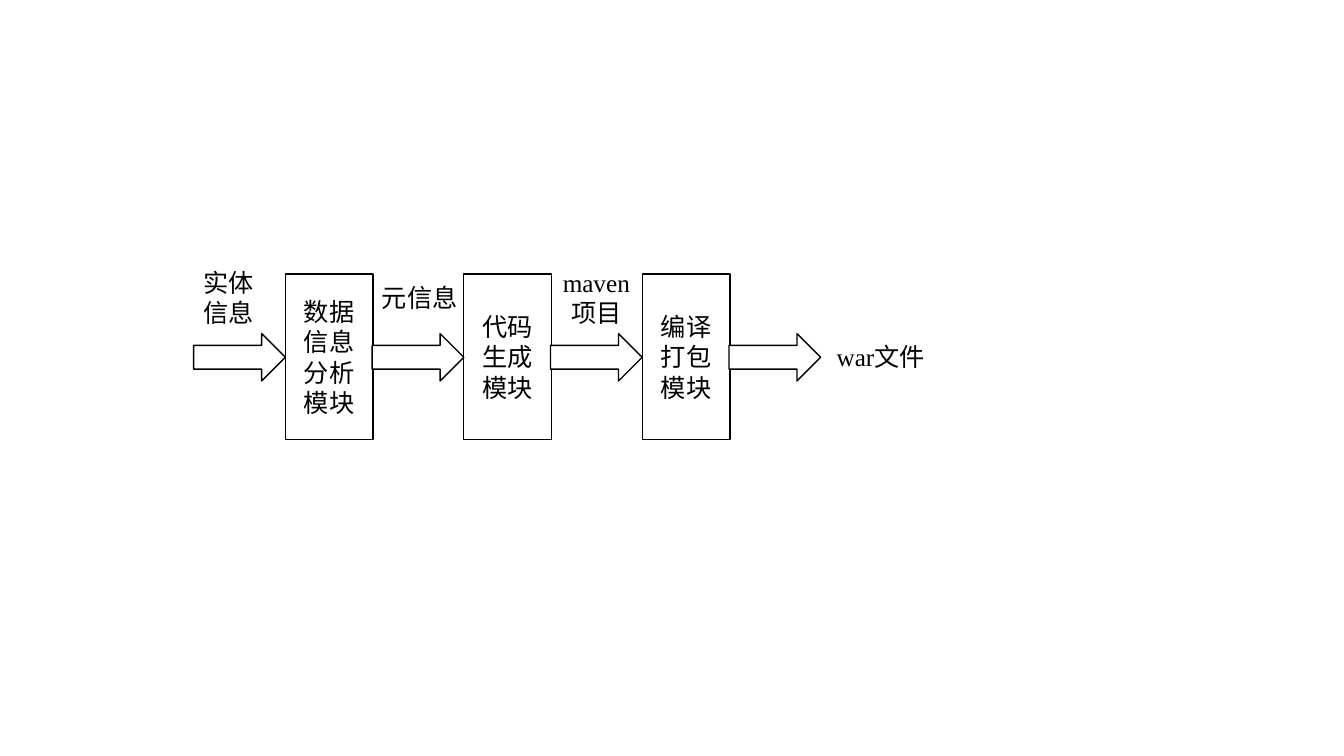
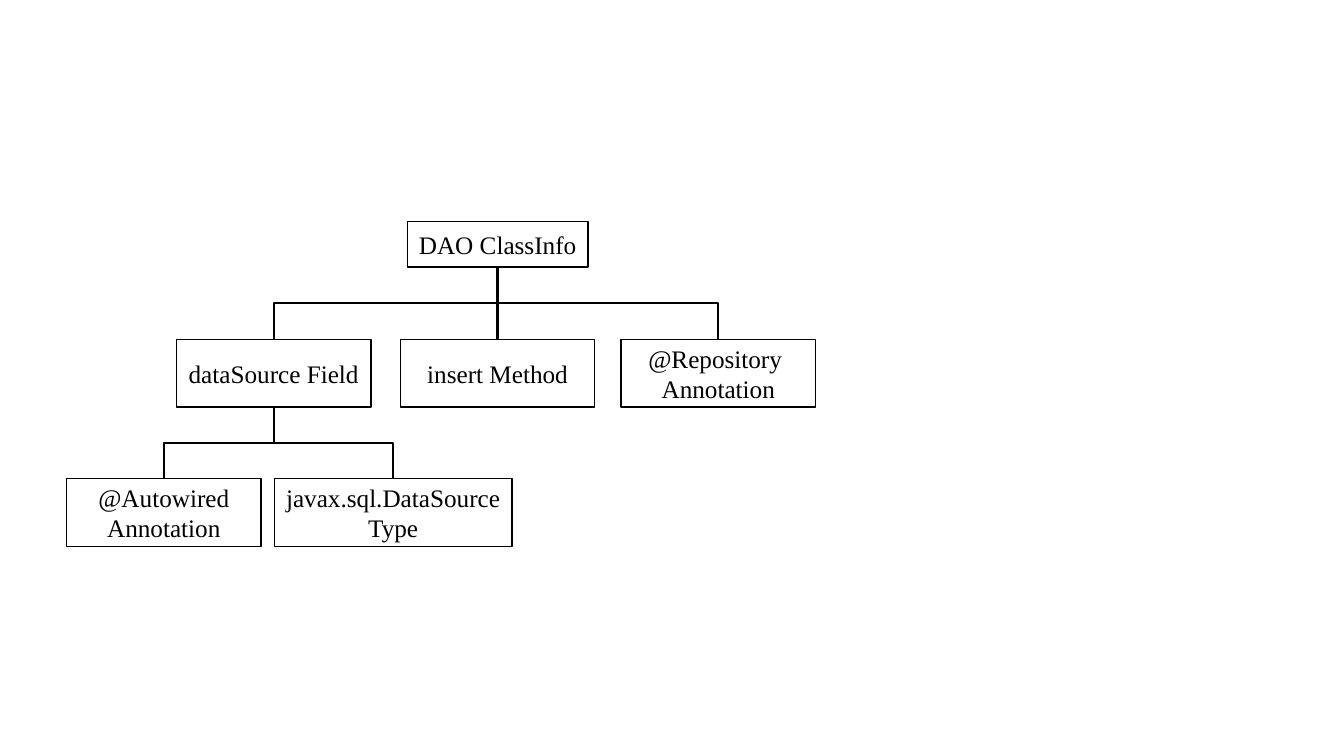
from lxml import etree
from pptx import Presentation
from pptx.dml.color import RGBColor
from pptx.enum.shapes import MSO_CONNECTOR, MSO_SHAPE
from pptx.enum.text import MSO_ANCHOR, MSO_AUTO_SIZE, PP_ALIGN
from pptx.oxml.ns import qn
from pptx.util import Emu, Pt

RECTANGLE, RIGHT_ARROW = MSO_SHAPE.RECTANGLE, MSO_SHAPE.RIGHT_ARROW
ELBOW, STRAIGHT = MSO_CONNECTOR.ELBOW, MSO_CONNECTOR.STRAIGHT
LEFT, CENTER = PP_ALIGN.LEFT, PP_ALIGN.CENTER
TOP, MIDDLE = MSO_ANCHOR.TOP, MSO_ANCHOR.MIDDLE
GROW = MSO_AUTO_SIZE.SHAPE_TO_FIT_TEXT

EMU_PER_PX = 9144
COLORS = {"paper": "FFFFFF", "ink": "000000"}
SANS, SERIF = "Calibri", "Times New Roman"
TOP_SITE, BOTTOM_SITE = 0, 2


def px(length):
    return Emu(length * EMU_PER_PX)


def color(name):
    return RGBColor.from_string(COLORS[name])


class Diagram:
    text_size = Pt(18)
    outline = Pt(1)
    branch_line = Pt(1.5)

    def __init__(self, width, height):
        self.deck = Presentation()
        self.deck.slide_width, self.deck.slide_height = px(width), px(height)
        self.slide = None

    def new_slide(self):
        self.slide = self.deck.slides.add_slide(self.deck.slide_layouts[6])

    def set_text(self, frame, text, font, align, anchor):
        frame.text = text
        frame.word_wrap = True
        frame.vertical_anchor = anchor
        for paragraph in frame.paragraphs:
            paragraph.alignment = align
            for run in paragraph.runs:
                run.font.name = font
                run.font.size = self.text_size
                run.font.color.rgb = color("ink")

    def outlined(self, preset, left, top, width, height):
        shape = self.slide.shapes.add_shape(
            preset, px(left), px(top), px(width), px(height))
        shape.shadow.inherit = False
        shape.fill.solid()
        shape.fill.fore_color.rgb = color("paper")
        shape.line.color.rgb = color("ink")
        shape.line.width = self.outline
        return shape

    def box(self, left, top, width, height, text, font):
        shape = self.outlined(RECTANGLE, left, top, width, height)
        self.set_text(shape.text_frame, text, font, CENTER, MIDDLE)
        return shape

    def arrow(self, left, top, width, height):
        self.outlined(RIGHT_ARROW, left, top, width, height)

    def label(self, left, top, width, height, text, font, align):
        caption = self.slide.shapes.add_textbox(
            px(left), px(top), px(width), px(height))
        self.set_text(caption.text_frame, text, font, align, TOP)
        caption.text_frame.auto_size = GROW

    def branch(self, parent, child):
        start_x = parent.left + parent.width // 2
        start_y = parent.top + parent.height
        end_x = child.left + child.width // 2
        drop, shift = child.top - start_y, end_x - start_x
        line = self.slide.shapes.add_connector(
            ELBOW if shift else STRAIGHT, start_x, start_y, end_x, child.top)
        line.begin_connect(parent, BOTTOM_SITE)
        line.end_connect(child, TOP_SITE)

        line.width, line.height = drop, abs(shift)
        line.left = (start_x + end_x - drop) // 2
        line.top = (start_y + child.top - abs(shift)) // 2
        frame = line._element.spPr.find(qn("a:xfrm"))
        frame.set("rot", str((270 if shift > 0 else 90) * 60000))
        frame.set("flipH", "1" if shift > 0 else "0")
        frame.set("flipV", "0")

        line.line.color.rgb = color("ink")
        line.line.width = self.branch_line
        etree.SubElement(line._element.spPr, qn("a:effectLst"))


def build_pipeline(diagram):
    diagram.new_slide()
    start, step, arrow_width = 192, 177, 91
    modules = ["数据\n信息\n分析\n模块", "代码\n生成\n模块", "编译打包\n模块"]
    inputs = [
        (260, 71, 71, "实体\n信息", SANS, LEFT),
        (275, 96, 40, "元信息", SANS, LEFT),
        (260, 91, 71, "maven\n项目", SERIF, CENTER),
    ]
    for index, (module, flow) in enumerate(zip(modules, inputs)):
        left = start + index * step
        top, width, height, text, font, align = flow
        diagram.box(left + arrow_width, 272, 87, 164, module, SANS)
        diagram.arrow(left, 331, arrow_width, 47)
        diagram.label(left, top, width, height, text, font, align)
    diagram.arrow(start + len(modules) * step, 331, arrow_width, 47)
    diagram.label(819, 334, 109, 40, "war文件", SERIF, CENTER)


def build_class_tree(diagram):
    diagram.new_slide()
    root = diagram.box(404, 220, 179, 45, "DAO ClassInfo", SERIF)

    def add_children(parent, top, members):
        boxes = [diagram.box(left, top, width, 67, text, SERIF)
                 for left, width, text in members]
        for member in boxes:
            diagram.branch(parent, member)
        return boxes

    data_source = add_children(root, 337, [
        (175, 193, "dataSource Field"),
        (397, 193, "insert Method"),
        (616, 193, "@Repository \nAnnotation"),
    ])[0]
    add_children(data_source, 475, [
        (66, 193, "@Autowired\nAnnotation"),
        (272, 236, "javax.sql.DataSource\nType"),
    ])


def main():
    diagram = Diagram(1333, 750)
    build_pipeline(diagram)
    build_class_tree(diagram)
    diagram.deck.save("out.pptx")


if __name__ == "__main__":
    main()
